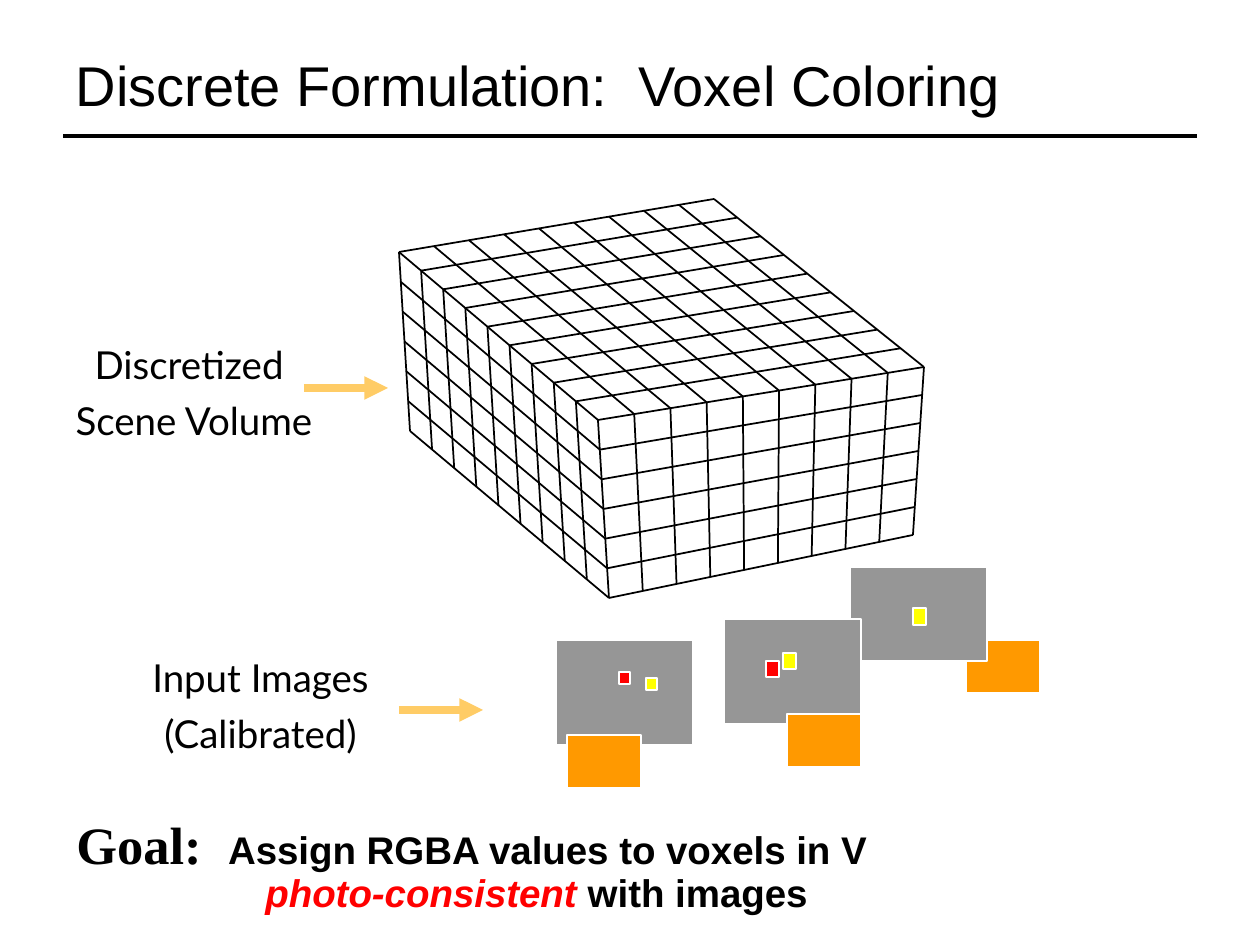
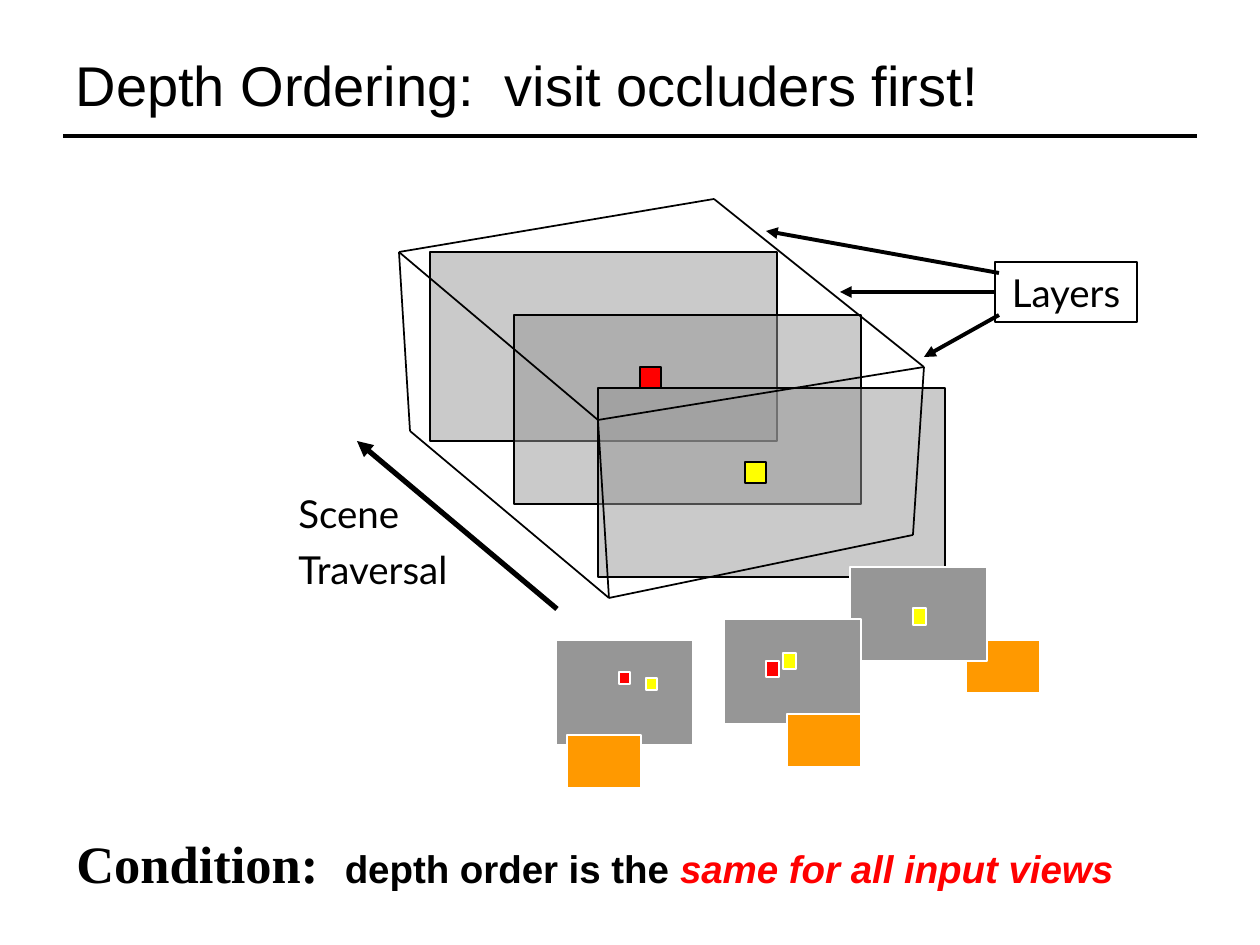
from lxml import etree
from pptx import Presentation
from pptx.dml.color import RGBColor
from pptx.enum.shapes import MSO_CONNECTOR, MSO_SHAPE
from pptx.enum.text import MSO_ANCHOR, MSO_AUTO_SIZE, PP_ALIGN
from pptx.oxml.ns import qn
from pptx.util import Emu, Pt

STRAIGHT, RECTANGLE = MSO_CONNECTOR.STRAIGHT, MSO_SHAPE.RECTANGLE
LEFT, CENTER = PP_ALIGN.LEFT, PP_ALIGN.CENTER
MIDDLE, NO_AUTOFIT = MSO_ANCHOR.MIDDLE, MSO_AUTO_SIZE.NONE
LEFT_SIDE = 1

BLACK = RGBColor(0x00, 0x00, 0x00)
WHITE = RGBColor(0xFF, 0xFF, 0xFF)
GRAY = RGBColor(0x96, 0x96, 0x96)
ORANGE = RGBColor(0xFF, 0x99, 0x00)
SAND = RGBColor(0xFF, 0xCC, 0x66)
RED = RGBColor(0xFF, 0x00, 0x00)
YELLOW = RGBColor(0xFF, 0xFF, 0x00)

PX = 914400 / 126
PAGE_WIDTH, PAGE_HEIGHT = 1260, 945
TITLE_AREA = (63, 21, 1134, 126)
TITLE_RULE = ((63, 136), (1197, 136))

LABEL = dict(size=22, font="Lato")
LEAD = dict(size=30, font="Times New Roman", bold=True)
CLAIM = dict(size=22, font="Arial", bold=True)
STRESS = dict(CLAIM, color=RED, italic=True)

# Corners of the scene volume
LEFT_TOP, LEFT_BOTTOM = (399, 252), (410, 431)
NEAR_TOP, NEAR_BOTTOM = (598, 420), (609, 598)
RIGHT_TOP, RIGHT_BOTTOM = (924, 367), (913, 535)
BACK_TOP = (714, 199)

VOLUME_EDGES = [
    (NEAR_TOP, LEFT_TOP), (NEAR_BOTTOM, LEFT_BOTTOM), (RIGHT_TOP, BACK_TOP),
    (NEAR_TOP, NEAR_BOTTOM), (LEFT_TOP, LEFT_BOTTOM), (RIGHT_TOP, RIGHT_BOTTOM),
    (NEAR_TOP, RIGHT_TOP), (NEAR_BOTTOM, RIGHT_BOTTOM), (LEFT_TOP, BACK_TOP),
]
COLUMNS, ROWS = 9, 6
# Each entry: two opposite edges of a face and the number of cells along them
VOXEL_SPANS = [
    ((NEAR_TOP, RIGHT_TOP), (LEFT_TOP, BACK_TOP), COLUMNS),
    ((LEFT_TOP, NEAR_TOP), (BACK_TOP, RIGHT_TOP), COLUMNS),
    ((LEFT_TOP, NEAR_TOP), (LEFT_BOTTOM, NEAR_BOTTOM), COLUMNS),
    ((NEAR_TOP, NEAR_BOTTOM), (LEFT_TOP, LEFT_BOTTOM), ROWS),
    ((NEAR_TOP, RIGHT_TOP), (NEAR_BOTTOM, RIGHT_BOTTOM), COLUMNS),
    ((NEAR_TOP, NEAR_BOTTOM), (RIGHT_TOP, RIGHT_BOTTOM), ROWS),
]

# Cameras with their image planes and projected voxels, back to front
CAMERA_PARTS = [
    ((966, 640, 74, 53), ORANGE),
    ((850, 567, 137, 94), GRAY),
    ((913, 608, 13, 17), YELLOW),
    ((724, 619, 137, 105), GRAY),
    ((783, 653, 13, 16), YELLOW),
    ((766, 661, 13, 16), RED),
    ((787, 714, 74, 53), ORANGE),
    ((556, 640, 137, 105), GRAY),
    ((619, 672, 11, 12), RED),
    ((646, 678, 11, 12), YELLOW),
    ((567, 735, 74, 53), ORANGE),
]

LAYER_SIZE = (347, 189)
LAYER_CORNERS = [(430, 252), (514, 315), (598, 388)]
SCENE_VOXELS = {1: ((640, 367, 21, 21), RED), 2: ((745, 462, 21, 21), YELLOW)}
LAYERS_LABEL_AREA = (995, 262, 142, 60)
LAYER_ARROWS = [((999, 273), (766, 231)), ((995, 292), (840, 292)),
                ((999, 315), (924, 357))]
JOINED_ARROW = 1
TRAVERSAL_ARROW = ((557, 609), (357, 441))

INPUT_LABELS = [
    ((54, 335, 280, 115), ["Discretized ", "Scene Volume"], ((304, 388), (388, 388))),
    ((127, 648, 267, 115), ["Input Images", "(Calibrated)"], ((399, 710), (483, 710))),
]
TRAVERSAL_LABEL = ((286, 484, 190, 115), ["Scene", "Traversal"])

GOAL_AREA = (64, 806, 900, 113)
GOAL = [
    [("Goal:  ", LEAD), ("Assign RGBA values to voxels in V", CLAIM)],
    [("photo-consistent", STRESS), (" with images", CLAIM)],
]
GOAL_INDENT = 189
CONDITION_AREA = (64, 825, 1120, 76)
CONDITION = [[("Condition:  ", LEAD), ("depth order is the ", CLAIM),
              ("same for all input views", STRESS)]]


def emu(*lengths):
    return [Emu(round(length * PX)) for length in lengths]


def add_span(para, text, size, font, color=BLACK, bold=False, italic=False):
    span = para.add_run()
    span.text = text
    span.font.size, span.font.name = Pt(size), font
    span.font.bold, span.font.italic = bold, italic
    span.font.color.rgb = color


def write(shape, paragraphs, align=LEFT):
    """Fill a shape with paragraphs, each a list of (text, format) spans."""
    frame = shape.text_frame
    frame.word_wrap = True
    frame.auto_size = NO_AUTOFIT
    frame.vertical_anchor = MIDDLE
    for index, spans in enumerate(paragraphs):
        para = frame.add_paragraph() if index else frame.paragraphs[0]
        para.alignment = align
        para.space_before = Pt(5.5 if index else 0)
        for text, style in spans:
            add_span(para, text, **style)
    return frame


def add_text(page, area, paragraphs, align=LEFT):
    return write(page.shapes.add_textbox(*emu(*area)), paragraphs, align)


def label(lines):
    return [[(line, LABEL)] for line in lines]


def add_rectangle(page, area, fill, outline=WHITE, opacity=None):
    box = page.shapes.add_shape(RECTANGLE, *emu(*area))
    box.shadow.inherit = False
    if fill is None:
        box.fill.background()
    else:
        box.fill.solid()
        box.fill.fore_color.rgb = fill
    if opacity is not None:
        color = box.element.spPr.find(qn("a:solidFill")).find(qn("a:srgbClr"))
        etree.SubElement(color, qn("a:alpha")).set("val", str(opacity * 1000))
    box.line.color.rgb = outline
    box.line.width = Pt(1)
    return box


def add_line(page, start, end, color=BLACK, width=1, arrow=False):
    line = page.shapes.add_connector(STRAIGHT, *emu(*start, *end))
    line.line.color.rgb = color
    line.line.width = Pt(width)
    properties = line.element.spPr
    if arrow:
        outline = properties.find(qn("a:ln"))
        etree.SubElement(outline, qn("a:tailEnd")).set("type", "triangle")
    etree.SubElement(properties, qn("a:effectLst"))
    return line


def point_on(edge, share):
    (x1, y1), (x2, y2) = edge
    return x1 + (x2 - x1) * share, y1 + (y2 - y1) * share


def add_volume(page):
    for start, end in VOLUME_EDGES:
        add_line(page, start, end)


def add_voxel_grid(page):
    for first, second, cells in VOXEL_SPANS:
        for step in range(1, cells):
            add_line(page, point_on(first, step / cells), point_on(second, step / cells))


def add_cameras(page):
    for area, color in CAMERA_PARTS:
        add_rectangle(page, area, color)


def place(shape, area):
    shape.left, shape.top, shape.width, shape.height = emu(*area)


def add_page(deck, title):
    page = deck.slides.add_slide(deck.slide_layouts.get_by_name("Title Only"))
    place(page.shapes.title, TITLE_AREA)
    write(page.shapes.title, [[(title, dict(size=32, font="Arial"))]])
    return page


def add_voxel_coloring(deck):
    page = add_page(deck, "Discrete Formulation:  Voxel Coloring")
    # The rule under the title belongs to the layout that both slides use
    rule = add_line(page, *TITLE_RULE, width=1.75)
    page.slide_layout.shapes.element.append(rule.element)
    add_cameras(page)
    for area, lines, arrow in INPUT_LABELS:
        add_text(page, area, label(lines), CENTER)
        add_line(page, *arrow, color=SAND, width=4.5, arrow=True)
    add_volume(page)
    add_voxel_grid(page)
    second = add_text(page, GOAL_AREA, GOAL).paragraphs[1]
    second.line_spacing = 0.6
    properties = second._p.get_or_add_pPr()
    properties.set("marL", str(emu(GOAL_INDENT)[0]))
    properties.set("indent", "0")


def add_depth_ordering(deck):
    page = add_page(deck, "Depth Ordering:  visit occluders first!")
    for index, corner in enumerate(LAYER_CORNERS):
        add_rectangle(page, corner + LAYER_SIZE, GRAY, BLACK, opacity=50)
        if index in SCENE_VOXELS:
            add_rectangle(page, *SCENE_VOXELS[index], BLACK)
    layers_box = add_rectangle(page, LAYERS_LABEL_AREA, None, BLACK)
    write(layers_box, label(["Layers"]), CENTER)
    for index, (start, end) in enumerate(LAYER_ARROWS):
        line = add_line(page, start, end, width=2.25, arrow=True)
        if index == JOINED_ARROW:
            line.begin_connect(layers_box, LEFT_SIDE)
    add_cameras(page)
    add_volume(page)
    add_line(page, *TRAVERSAL_ARROW, width=3, arrow=True)
    area, lines = TRAVERSAL_LABEL
    add_text(page, area, label(lines))
    add_text(page, CONDITION_AREA, CONDITION)


def main():
    deck = Presentation()
    deck.slide_width, deck.slide_height = emu(PAGE_WIDTH, PAGE_HEIGHT)
    add_voxel_coloring(deck)
    add_depth_ordering(deck)
    deck.save("out.pptx")


if __name__ == "__main__":
    main()
